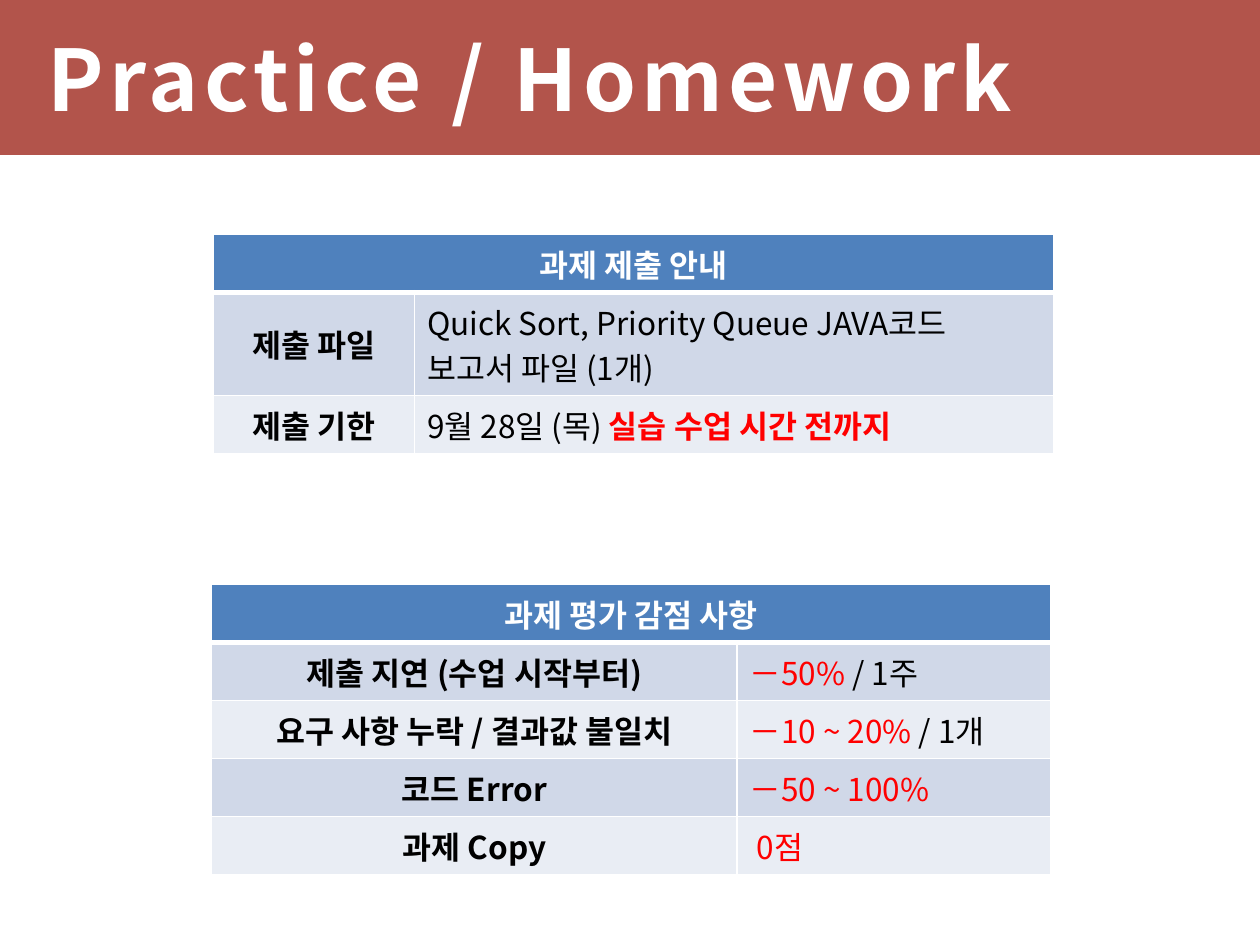
from lxml import etree
from pptx import Presentation
from pptx.dml.color import RGBColor
from pptx.enum import shapes, text
from pptx.oxml import ns
from pptx.util import Inches, Pt

FONT = "Noto Sans CJK KR"
WHITE = RGBColor(0xFF, 0xFF, 0xFF)
BLACK = RGBColor(0, 0, 0)
RED = RGBColor(0xFF, 0, 0)
BANNER = RGBColor(0x9B, 0x1F, 0x13)
HEADER = RGBColor(0x4F, 0x81, 0xBD)
BANDS = [RGBColor(0xD0, 0xD8, 0xE8), RGBColor(0xE9, 0xED, 0xF4)]

# Content: each row is a label and its lines; a line is a list of (text, colour, bold)
TITLE = "Practice / Homework"
SUBMISSION = {
    "heading": "과제 제출 안내",
    "at": (1.69, 1.86),
    "columns": (1.6, 5.07),
    "rows": [
        ("제출 파일", [[("Quick Sort, Priority Queue JAVA코드", BLACK, False)],
                   [("보고서 파일 (1개)", BLACK, False)]]),
        ("제출 기한", [[("9월 28일 (목) ", BLACK, False),
                    ("실습 수업 시간 전까지", RED, True)]]),
    ],
}
DEDUCTIONS = {
    "heading": "과제 평가 감점 사항",
    "at": (1.68, 4.64),
    "columns": (4.17, 2.49),
    "rows": [
        ("제출 지연 (수업 시작부터)", [[("－50%", RED, False), (" / 1주", BLACK, False)]]),
        ("요구 사항 누락 / 결과값 불일치",
         [[("－10 ~ 20%", RED, False), (" / 1개", BLACK, False)]]),
        ("코드 Error", [[("－50 ~ 100%", RED, False)]]),
        ("과제 Copy", [[(" 0점", RED, False)]]),
    ],
}
# Row height: cell margins plus the height of each text line
CELL_MARGINS = 0.1
LINE_HEIGHT = 0.36


def add_run(paragraph, words, color, bold, size=18):
    run = paragraph.add_run()
    run.text = words
    run.font.size = Pt(size)
    run.font.bold = bold
    run.font.name = FONT
    run.font.color.rgb = color
    properties = run.font._element
    etree.SubElement(properties, ns.qn("a:ea"), typeface=FONT)
    return properties


def set_borders(cell, bottom):
    properties = cell._tc.get_or_add_tcPr()
    sides = {"a:lnL": 1, "a:lnR": 1, "a:lnT": 1, "a:lnB": bottom}
    for position, (side, width) in enumerate(sides.items()):
        line = etree.Element(ns.qn(side), w=str(Pt(width)))
        fill = etree.SubElement(line, ns.qn("a:solidFill"))
        etree.SubElement(fill, ns.qn("a:srgbClr"), val=str(WHITE))
        properties.insert(position, line)


def fill_cell(cell, lines, color, centred=False, bottom=1):
    cell.fill.solid()
    cell.fill.fore_color.rgb = color
    cell.vertical_anchor = text.MSO_ANCHOR.MIDDLE
    set_borders(cell, bottom)
    for number, line in enumerate(lines):
        frame = cell.text_frame
        paragraph = frame.add_paragraph() if number else frame.paragraphs[0]
        if centred:
            paragraph.alignment = text.PP_ALIGN.CENTER
        for words, ink, bold in line:
            add_run(paragraph, words, ink, bold)


def add_notice(slide, notice):
    rows, columns = notice["rows"], notice["columns"]
    line_counts = [1] + [len(lines) for _, lines in rows]
    heights = [CELL_MARGINS + LINE_HEIGHT * count for count in line_counts]
    left, top = notice["at"]
    table = slide.shapes.add_table(
        len(heights), len(columns), Inches(left), Inches(top),
        Inches(sum(columns)), Inches(sum(heights))).table
    for column, width in zip(table.columns, columns):
        column.width = Inches(width)
    for row, height in zip(table.rows, heights):
        row.height = Inches(height)

    # Heading across both columns
    table.cell(0, 0).merge(table.cell(0, 1))
    fill_cell(table.cell(0, 0), [[(notice["heading"], WHITE, True)]], HEADER, True, 3)
    fill_cell(table.cell(0, 1), [], HEADER, bottom=3)

    # Banded rows
    for number, (label, lines) in enumerate(rows, start=1):
        band = BANDS[(number - 1) % 2]
        fill_cell(table.cell(number, 0), [[(label, BLACK, True)]], band, True)
        fill_cell(table.cell(number, 1), lines, band)


def main():
    deck = Presentation()
    deck.slide_width, deck.slide_height = Inches(10), Inches(7.5)
    slide = deck.slides.add_slide(deck.slide_layouts[6])

    # Translucent title band
    banner = slide.shapes.add_shape(
        shapes.MSO_SHAPE.RECTANGLE, 0, 0, deck.slide_width, Inches(1.23))
    banner.shadow.inherit = False
    banner.fill.solid()
    banner.fill.fore_color.rgb = BANNER
    banner.line.fill.background()
    tint = banner._element.spPr.find(".//" + ns.qn("a:srgbClr"))
    etree.SubElement(tint, ns.qn("a:alpha"), val="76000")

    # Title
    title = slide.shapes.add_textbox(Inches(0.28), 0, Inches(9.45), Inches(1.23))
    title.text_frame.word_wrap = True
    title.text_frame.vertical_anchor = text.MSO_ANCHOR.MIDDLE
    properties = add_run(title.text_frame.paragraphs[0], TITLE, WHITE, True, 48.5)
    properties.set("spc", "300")

    for notice in (DEDUCTIONS, SUBMISSION):
        add_notice(slide, notice)
    deck.save("out.pptx")


if __name__ == "__main__":
    main()
